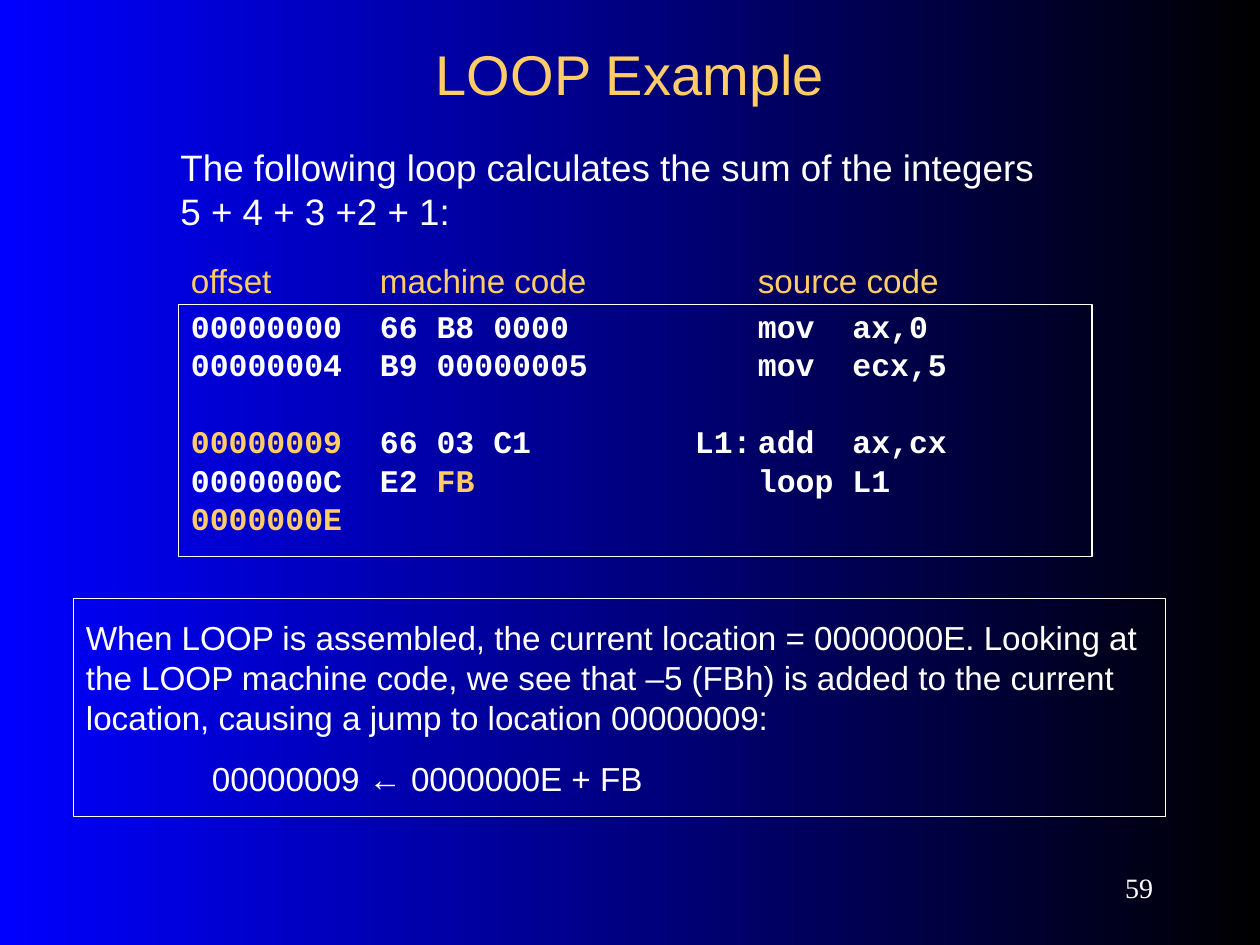
from dataclasses import dataclass

from lxml import etree
from pptx import Presentation
from pptx.dml.color import RGBColor
from pptx.enum import shapes, text
from pptx.oxml import ns
from pptx.util import Pt


@dataclass(frozen=True)
class Theme:
    """Colours, fonts and type sizes of the slide."""
    ink: str = "FFFFFF"
    accent: str = "FFCC66"
    night: str = "000000"
    blue: str = "0000FF"
    sans: str = "Arial"
    mono: str = "Courier New"
    serif: str = "Times New Roman"
    title: int = 32
    intro: int = 21
    body: int = 19
    code: int = 18
    number: int = 16


THEME = Theme()


def set_values(target, values):
    """Set each attribute named in a dict of format values."""
    for name, value in values.items():
        setattr(target, name, value)


def set_frame(frame, inset=10.8, anchor=text.MSO_ANCHOR.TOP):
    """Give a text frame its insets, anchor and wrapping."""
    set_values(frame, {
        "word_wrap": True, "auto_size": text.MSO_AUTO_SIZE.NONE,
        "vertical_anchor": anchor, "margin_left": Pt(7.2), "margin_right": Pt(7.2),
        "margin_top": Pt(inset), "margin_bottom": Pt(inset)})


def write(paragraph, runs, font, size, tabs=(), bold=False, **layout):
    """Write (text, colour) runs into a paragraph with tab stops in points."""
    if tabs:
        stops = etree.SubElement(paragraph._p.get_or_add_pPr(), ns.qn("a:tabLst"))
        for stop in tabs:
            etree.SubElement(stops, ns.qn("a:tab"), pos=str(Pt(stop)), algn="l")
    set_values(paragraph, layout)
    for words, colour in runs:
        run = paragraph.add_run()
        run.text = words
        set_values(run.font, {"name": font, "size": Pt(size), "bold": bold})
        run.font.color.rgb = RGBColor.from_string(colour)


def add_label(slide, box, words, font, size, colour=THEME.ink, tabs=(), **layout):
    """Add one paragraph of plain text in a box."""
    label = slide.shapes.add_textbox(*map(Pt, box)).text_frame
    set_frame(label)
    write(label.paragraphs[0], [(words, colour)], font, size, tabs, **layout)
    return label


def add_panel(slide, box):
    """Add an outlined rectangle and return its text frame."""
    panel = slide.shapes.add_shape(shapes.MSO_SHAPE.RECTANGLE, *map(Pt, box))
    panel.shadow.inherit = False
    panel.fill.background()
    panel.line.color.rgb = RGBColor.from_string(THEME.ink)
    panel.line.width = Pt(0.75)
    set_frame(panel.text_frame)
    return panel.text_frame


def paint_background(slide):
    """Fill the background from blue at the left to black at the right."""
    fill = slide.background.fill
    fill.gradient()
    fill.gradient_angle = 180
    for stop, position, colour in zip(fill.gradient_stops, (0, 1), (THEME.night, THEME.blue)):
        stop.position = position
        stop.color.rgb = RGBColor.from_string(colour)


def place_title(slide, box, words):
    """Move and format the title placeholder."""
    title = slide.shapes.title
    set_values(title, dict(zip(("left", "top", "width", "height"), map(Pt, box))))
    set_frame(title.text_frame, 3.6, text.MSO_ANCHOR.MIDDLE)
    write(title.text_frame.paragraphs[0], [(words, THEME.accent)], THEME.sans,
          THEME.title, alignment=text.PP_ALIGN.CENTER)


def add_listing(slide, box):
    """Add the column headings and the framed code listing below them."""
    left, top, width, height = box
    heading_height = 36
    add_label(slide, (left, top, width, 45), "offset\tmachine code\tsource code",
              THEME.sans, THEME.body, THEME.accent, tabs=(108, 324))
    listing = add_panel(slide, (left, top + heading_height, width, height - heading_height))
    ink, accent = THEME.ink, THEME.accent
    gap, block_gap = 11.2, 33.2
    lines = [
        (0, [("00000000  66 B8 0000\t\tmov  ax,0", ink)]),
        (gap, [("00000004  B9 00000005\t\tmov  ecx,5", ink)]),
        (block_gap, [("00000009", accent), ("  66 03 C1\tL1:\tadd  ax,cx", ink)]),
        (gap, [("0000000C  E2 ", ink), ("FB", accent), ("\t\tloop L1", ink)]),
        (gap, [("0000000E", accent)]),
    ]
    for index, (before, runs) in enumerate(lines):
        line = listing.add_paragraph() if index else listing.paragraphs[0]
        spacing = {"space_before": Pt(before)} if before else {}
        write(line, runs, THEME.mono, THEME.code, (36, 288, 324), True,
              alignment=text.PP_ALIGN.LEFT, line_spacing=0.5, **spacing)


def add_explanation(slide, box):
    """Add the framed explanation and its jump calculation."""
    explanation = add_panel(slide, box)
    write(explanation.paragraphs[0], [(
        "When LOOP is assembled, the current location = 0000000E. Looking at the LOOP "
        "machine code, we see that –5 (FBh) is added to the current location, causing "
        "a jump to location 00000009:", THEME.ink)], THEME.sans, THEME.body,
        alignment=text.PP_ALIGN.LEFT)
    write(explanation.add_paragraph(), [("\t00000009 ← 0000000E + FB", THEME.ink)],
          THEME.sans, THEME.body, (72,), alignment=text.PP_ALIGN.LEFT, space_before=Pt(11.9))


def add_number(slide, box, number):
    """Add the page number at the lower right."""
    frame = add_label(slide, box, number, THEME.serif, THEME.number,
                      alignment=text.PP_ALIGN.RIGHT)
    set_frame(frame, 3.6, text.MSO_ANCHOR.MIDDLE)


def main():
    """Build the slide and save it."""
    deck = Presentation()
    set_values(deck, {"slide_width": Pt(720), "slide_height": Pt(540)})
    slide = deck.slides.add_slide(deck.slide_layouts.get_by_name("Title Only"))
    paint_background(slide)
    place_title(slide, (54, 18, 612, 48), "LOOP Example")
    add_label(slide, (96, 72, 516, 72),
              "The following loop calculates the sum of the integers 5 + 4 + 3 +2 + 1:",
              THEME.sans, THEME.intro)
    add_listing(slide, (102, 138, 522, 180))
    add_explanation(slide, (42, 342, 624, 124.5))
    add_number(slide, (588, 492, 78, 30), "59")
    deck.save("out.pptx")


if __name__ == "__main__":
    main()
